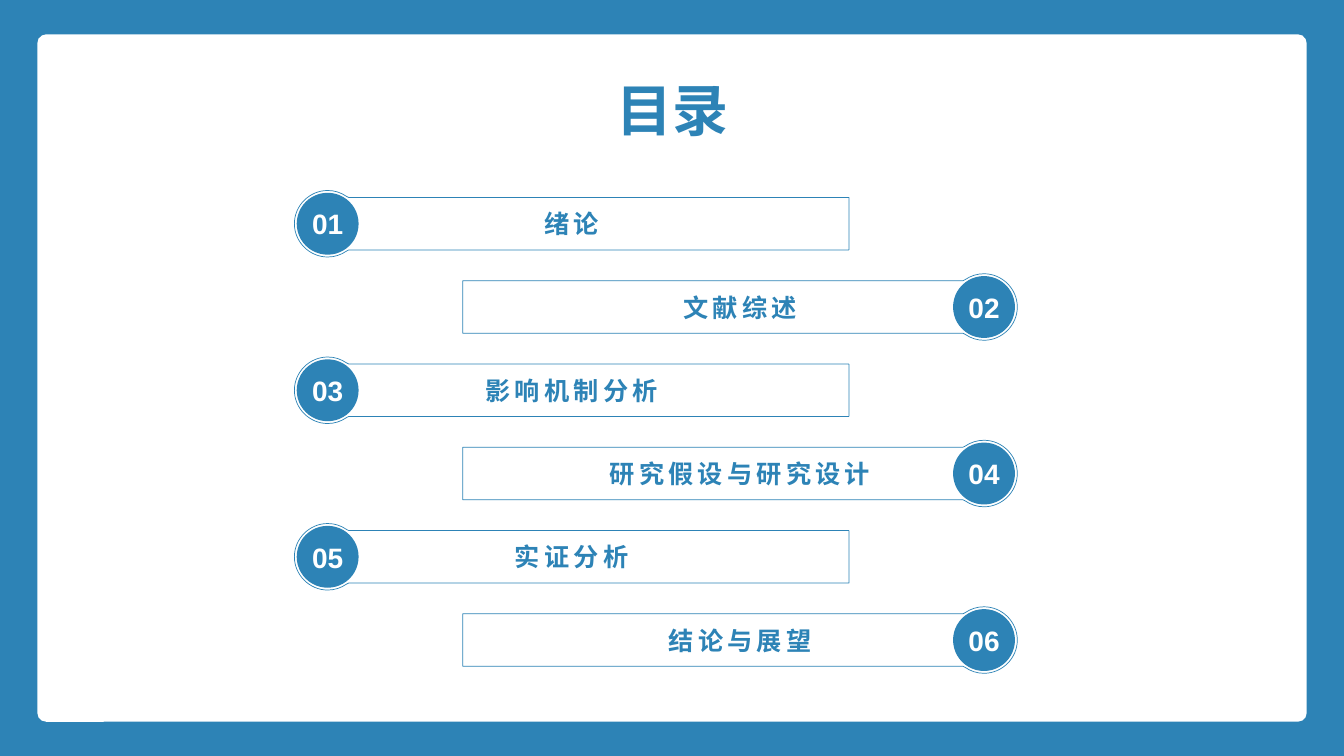
from lxml import etree
from pptx import Presentation, util as u
from pptx.dml.color import RGBColor
from pptx.enum import shapes, text
from pptx.oxml.ns import qn

BLUE, WHITE = "2D83B6", "FFFFFF"
CJK = "Noto Sans CJK SC"
W, H = 13.33, 7.5
CHAPTERS = ["绪论", "文献综述", "影响机制分析", "研究假设与研究设计", "实证分析", "结论与展望"]
FIRST, LAST = 2.22, 6.35              # centres of the first and last row
PITCH = (LAST - FIRST) / (len(CHAPTERS) - 1)
RING, DISC, BAR = 0.33, 0.3, 0.26     # radii and half the bar height
LEFT_X, RIGHT_X, REACH = 3.25, 9.76, 5.17

# Outline around the ring centre: each step ends at its last point,
# and a step of three points is a curve
START = (0, -RING)
STEPS = [
    [(0.07, -RING), (0.13, -0.31), (0.19, -0.27)],
    [(0.21, -BAR)], [(REACH, -BAR)], [(REACH, BAR)], [(0.21, BAR)], [(0.19, 0.27)],
    [(0.13, 0.31), (0.07, RING), (0, RING)],
    [(-0.18, RING), (-RING, 0.18), (-RING, 0)],
    [(-RING, -0.18), (-0.18, -RING), START],
]


def paint(sp, fill=None, line=None, width=1):
    sp.shadow.inherit = False
    for part, colour in ((sp.fill, fill), (sp.line.fill, line)):
        if colour:
            part.solid()
            part.fore_color.rgb = RGBColor.from_string(colour)
        else:
            part.background()
    if line:
        sp.line.width = u.Pt(width)


def write(sp, words, size, colour, font, spacing=0, inset=0.0):
    tf = sp.text_frame
    frame = {"vertical_anchor": text.MSO_ANCHOR.MIDDLE, "auto_size": text.MSO_AUTO_SIZE.NONE}
    frame.update({f"margin_{side}": u.Inches(inset) for side in ("left", "right", "top", "bottom")})
    for key, value in frame.items():
        setattr(tf, key, value)
    p = tf.paragraphs[0]
    p.alignment = text.PP_ALIGN.CENTER
    r = p.add_run()
    r.text = words
    for key, value in {"size": u.Pt(size), "bold": True, "name": font}.items():
        setattr(r.font, key, value)
    r.font.color.rgb = RGBColor.from_string(colour)
    rPr = r.font._element
    etree.SubElement(rPr, qn("a:ea")).set("typeface", font)
    if spacing:
        rPr.set("spc", str(spacing * 100))


prs = Presentation()
prs.slide_width, prs.slide_height = u.Inches(W), u.Inches(H)
s = prs.slides.add_slide(prs.slide_layouts[5])

frame = s.shapes.add_shape(shapes.MSO_SHAPE.RECTANGLE, 0, 0, prs.slide_width, prs.slide_height)
paint(frame, BLUE)
panel = s.shapes.add_shape(shapes.MSO_SHAPE.ROUNDED_RECTANGLE,
                           u.Inches(0.37), u.Inches(0.34), u.Inches(12.59), u.Inches(6.82))
panel.adjustments[0] = 0.013
paint(panel, WHITE)

title = s.shapes.title
for key, value in {"left": 6.11, "top": 0.75, "width": 1.12, "height": 0.67}.items():
    setattr(title, key, u.Inches(value))
write(title, "目录", 40, BLUE, CJK)
title.text_frame.word_wrap = False
s.shapes._spTree.append(title._element)  # bring the title in front of the panel

for i, chapter in enumerate(CHAPTERS):
    cx, side = (LEFT_X, 1) if i % 2 == 0 else (RIGHT_X, -1)
    cy = FIRST + i * PITCH
    start, *steps = [[(u.Inches(cx + side * x), u.Inches(cy + y)) for x, y in step]
                     for step in [[START], *STEPS]]
    builder = s.shapes.build_freeform(*start[0])
    builder.add_line_segments([step[-1] for step in steps], close=True)
    outline = builder.convert_to_shape()
    # Turn the three-point steps into curves
    for step, segment in zip(steps, list(outline._element.iter(qn("a:lnTo")))):
        if len(step) == 3:
            segment.tag = qn("a:cubicBezTo")
            for k, (x, y) in enumerate(step[:2]):
                pt = etree.Element(qn("a:pt"), x=str(x - outline.left), y=str(y - outline.top))
                segment.insert(k, pt)
    paint(outline, line=BLUE, width=0.5)
    write(outline, chapter, 18, BLUE, CJK, spacing=3, inset=0.1)

    disc = s.shapes.add_shape(shapes.MSO_SHAPE.OVAL, u.Inches(cx - DISC), u.Inches(cy - DISC),
                              u.Inches(2 * DISC), u.Inches(2 * DISC))
    paint(disc, BLUE, BLUE)
    number = s.shapes.add_textbox(u.Inches(cx - 0.27), u.Inches(cy - 0.2), u.Inches(0.54), u.Inches(0.4))
    number.text_frame.word_wrap = True
    write(number, f"{i + 1:02}", 20, WHITE, "Arial")

prs.save("out.pptx")
